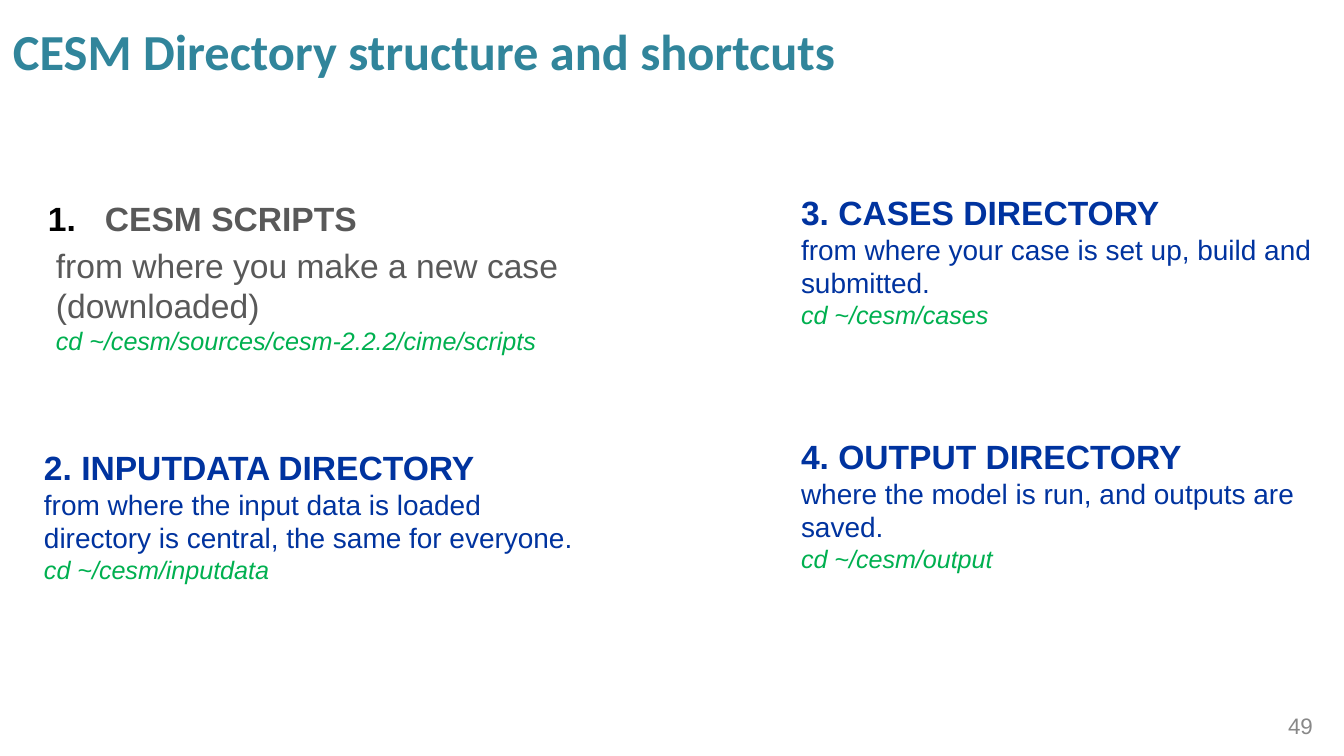
"""Build the slide on the CESM directory structure and its shortcuts."""
from lxml import etree
from pptx import Presentation
from pptx.dml.color import RGBColor
from pptx.enum.text import MSO_ANCHOR, PP_ALIGN
from pptx.oxml.ns import qn
from pptx.util import Emu, Pt

MIDDLE, TOP = MSO_ANCHOR.MIDDLE, MSO_ANCHOR.TOP
RIGHT = PP_ALIGN.RIGHT
SCALE = 9144000 / 1344
THEME = {
    "heading_font": "Calibri", "body_font": "Arial",
    "white": "FFFFFF", "black": "000000", "teal": "31859B", "gray": "595959",
    "blue": "00339F", "green": "00B050", "number": "888888",
    "title_size": 27, "heading_size": 18, "text_size": 15,
    "command_size": 13.5, "number_size": 12,
}


def px(length):
    return Emu(round(length * SCALE))


def add_box(slide, bounds, margins, anchor=TOP, fill=None):
    shape = slide.shapes.add_textbox(*map(px, bounds))
    if fill:
        shape.fill.solid()
        shape.fill.fore_color.rgb = RGBColor.from_string(THEME[fill])
    frame = shape.text_frame
    frame.word_wrap = True
    frame.vertical_anchor = anchor
    frame.margin_left = frame.margin_right = px(margins[0])
    frame.margin_top = frame.margin_bottom = px(margins[1])
    return frame


def style(font, size, color, bold=False, italic=False, name="body_font"):
    font.name = THEME[name]
    font.size = Pt(THEME[size])
    font.color.rgb = RGBColor.from_string(THEME[color])
    font.bold = bold
    font.italic = italic


presentation = Presentation()
presentation.slide_width, presentation.slide_height = px(1344), px(756)
slide = presentation.slides.add_slide(presentation.slide_layouts[6])
WIDE, NARROW = (13, 7), (9, 5)

paragraph = add_box(slide, (0, 0, 1344, 101), WIDE, MIDDLE, "white").paragraphs[0]
paragraph.text = "CESM Directory structure and shortcuts"
style(paragraph.font, "title_size", "teal", bold=True, name="heading_font")

scripts = add_box(slide, (35, 191, 736, 208), WIDE, fill="white")
paragraph = scripts.paragraphs[0]
paragraph.text = "CESM SCRIPTS"
properties = paragraph._p.get_or_add_pPr()
properties.set("marL", str(px(57)))
properties.set("indent", str(-px(57)))
bullet_color = etree.SubElement(properties, qn("a:buClr"))
etree.SubElement(bullet_color, qn("a:srgbClr"), val=THEME["black"])
etree.SubElement(properties, qn("a:buFont"), typeface=THEME["body_font"])
etree.SubElement(properties, qn("a:buAutoNum"), type="arabicPeriod")
style(paragraph.font, "heading_size", "gray", bold=True)

paragraph = scripts.add_paragraph()
paragraph._p.get_or_add_pPr().set("marL", str(px(8)))
paragraph.space_before = Pt(3.6)
run = paragraph.add_run()
run.text = "from where you make a new case (downloaded)"
style(run.font, "heading_size", "gray")
paragraph.add_line_break()
run = paragraph.add_run()
run.text = "cd ~/cesm/sources/cesm-2.2.2/cime/scripts"
style(run.font, "command_size", "green", italic=True)

paragraph = add_box(slide, (1013, 707, 313, 40), WIDE, MIDDLE).paragraphs[0]
paragraph.text = "49"
paragraph.alignment = RIGHT
paragraph.line_spacing = 0.9
style(paragraph.font, "number_size", "number")

directories = [
    (35, 442, 742, "2. INPUTDATA DIRECTORY",
     ["from where the input data is loaded",
      "directory is central, the same for everyone."], "cd ~/cesm/inputdata"),
    (792, 187, 555, "3. CASES DIRECTORY",
     ["from where your case is set up, build and submitted."], "cd ~/cesm/cases"),
    (792, 431, 555, "4. OUTPUT DIRECTORY",
     ["where the model is run, and outputs are saved."], "cd ~/cesm/output"),
]
for left, top, width, heading, descriptions, command in directories:
    paragraph = add_box(slide, (left, top, width, 480), NARROW).paragraphs[0]
    run = paragraph.add_run()
    run.text = heading
    style(run.font, "heading_size", "blue", bold=True)
    for description in descriptions:
        paragraph.add_line_break()
        run = paragraph.add_run()
        run.text = description
        style(run.font, "text_size", "blue")
    paragraph.add_line_break()
    run = paragraph.add_run()
    run.text = command
    style(run.font, "command_size", "green", italic=True)

presentation.save("out.pptx")
